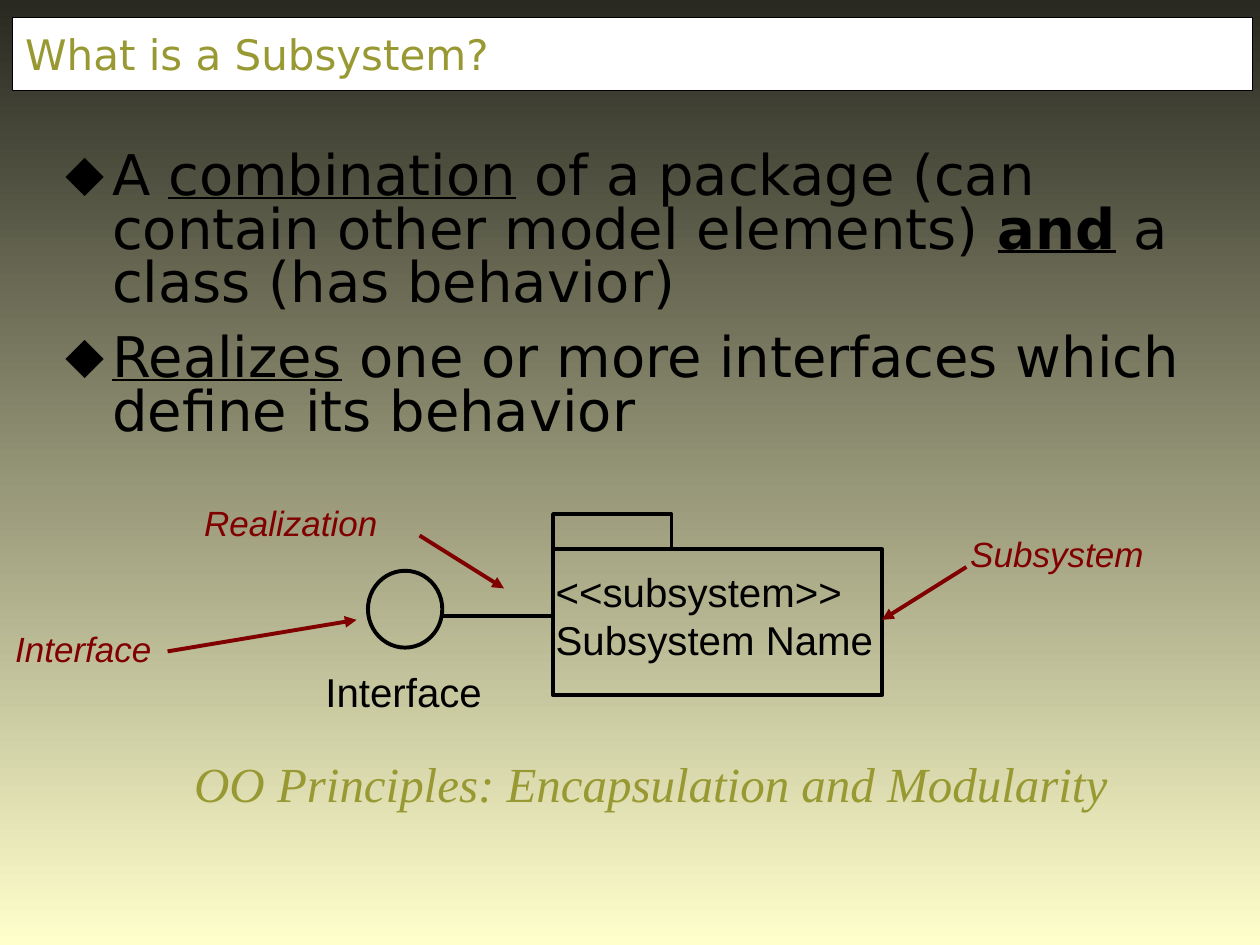
from dataclasses import dataclass
from typing import Any

from lxml.etree import SubElement
from pptx import Presentation
from pptx.dml.color import RGBColor
from pptx.enum.shapes import MSO_CONNECTOR, MSO_SHAPE
from pptx.enum.text import MSO_ANCHOR, MSO_AUTO_SIZE, PP_ALIGN
from pptx.oxml.ns import qn
from pptx.util import Inches, Pt


@dataclass(frozen=True)
class Theme:
    """Colours, fonts and sizes of the slide."""

    ink: RGBColor = RGBColor(0, 0, 0)
    paper: RGBColor = RGBColor(255, 255, 255)
    olive: RGBColor = RGBColor(0x99, 0x99, 0x33)
    maroon: RGBColor = RGBColor(0x80, 0, 0)
    dusk: RGBColor = RGBColor(0x29, 0x29, 0x21)
    cream: RGBColor = RGBColor(0xFF, 0xFF, 0xCC)
    heading_font: str = "DejaVu Sans"
    diagram_font: str = "Arial"
    principle_font: str = "Times New Roman"
    title_size: float = 24
    body_size: float = 32
    diagram_size: float = 23
    callout_size: float = 20
    principle_size: float = 28
    stroke: float = 2.25
    frame_stroke: float = 0.75


THEME = Theme()


@dataclass(frozen=True)
class Style:
    """Character format of a text."""

    name: str
    size: float
    color: RGBColor
    italic: bool = False


TITLE = Style(THEME.heading_font, THEME.title_size, THEME.olive)
BODY = Style(THEME.heading_font, THEME.body_size, THEME.ink)
DIAGRAM = Style(THEME.diagram_font, THEME.diagram_size, THEME.ink)
CALLOUT = Style(THEME.diagram_font, THEME.callout_size, THEME.maroon, True)
PRINCIPLE = Style(THEME.principle_font, THEME.principle_size, THEME.olive, True)


@dataclass(frozen=True)
class Label:
    """A text box on the slide."""

    lines: tuple[str, ...]
    place: tuple[float, float, float, float]
    style: Style
    margins: tuple[float, float] = (0.12, 0.06)
    align: PP_ALIGN = PP_ALIGN.LEFT
    wrap: bool = True


@dataclass(frozen=True)
class Outline:
    """An unfilled shape of the diagram."""

    kind: MSO_SHAPE
    place: tuple[float, float, float, float]


@dataclass(frozen=True)
class Link:
    """A straight line between two points."""

    start: tuple[float, float]
    end: tuple[float, float]
    color: RGBColor = THEME.maroon
    arrow: bool = True


@dataclass(frozen=True)
class Span:
    """A piece of a bullet with its own emphasis."""

    text: str
    underline: bool = False
    bold: bool = False


LABELS = (
    Label(("OO Principles: Encapsulation and Modularity",), (1, 5.92, 8.33, 0.59),
          PRINCIPLE, align=PP_ALIGN.CENTER),
    Label(("<<subsystem>>", "Subsystem Name"), (4.41, 4.5, 2.53, 0.77),
          DIAGRAM, margins=(0, 0), wrap=False),
    Label(("Interface",), (2.08, 5.25, 2.25, 0.49), DIAGRAM,
          margins=(0.1, 0.05), align=PP_ALIGN.CENTER),
    Label(("Interface",), (0, 4.92, 1.42, 0.45), CALLOUT),
    Label(("Realization",), (1.5, 3.92, 1.75, 0.45), CALLOUT),
    Label(("Subsystem",), (7.58, 4.17, 1.75, 0.45), CALLOUT),
)
OUTLINES = (
    Outline(MSO_SHAPE.RECTANGLE, (4.39, 4.36, 2.61, 1.16)),
    Outline(MSO_SHAPE.RECTANGLE, (4.39, 4.08, 0.94, 0.28)),
    Outline(MSO_SHAPE.OVAL, (2.92, 4.53, 0.59, 0.61)),
)
LINKS = (
    Link((3.51, 4.89), (4.39, 4.89), THEME.ink, arrow=False),
    Link((1.33, 5.17), (2.83, 4.92)),
    Link((3.33, 4.25), (4, 4.67)),
    Link((7.67, 4.5), (7, 4.92)),
)
BULLETS = (
    (Span("A "), Span("combination", underline=True),
     Span(" of a package (can contain other model elements) "),
     Span("and", underline=True, bold=True), Span(" a class (has behavior)")),
    (Span("Realizes", underline=True),
     Span(" one or more interfaces which define its behavior")),
)


def apply(target: Any, values: dict[str, Any]) -> None:
    """Set each named attribute on the target."""
    for name, value in values.items():
        setattr(target, name, value)


def place_at(shape: Any, place: tuple[float, float, float, float]) -> None:
    """Move and size a shape."""
    apply(shape, dict(zip(("left", "top", "width", "height"), map(Inches, place))))


def format_frame(frame: Any, margins: tuple[float, float], **values: Any) -> None:
    """Set the margins and further properties of a text frame."""
    across, down = map(Inches, margins)
    apply(frame, {"margin_left": across, "margin_right": across,
                  "margin_top": down, "margin_bottom": down, **values})


def format_font(font: Any, style: Style, **values: Any) -> None:
    """Give a font its style."""
    apply(font, {"name": style.name, "size": Pt(style.size),
                 "italic": style.italic, **values})
    font.color.rgb = style.color


def draw_label(page: Any, label: Label) -> None:
    """Draw a text box with one paragraph for each line."""
    box = page.shapes.add_textbox(*map(Inches, label.place))
    format_frame(box.text_frame, label.margins, word_wrap=label.wrap,
                 auto_size=MSO_AUTO_SIZE.SHAPE_TO_FIT_TEXT)
    box.text_frame.text = "\n".join(label.lines)
    for para in box.text_frame.paragraphs:
        para.alignment = label.align
        format_font(para.runs[0].font, label.style)


def draw_outline(page: Any, outline: Outline) -> None:
    """Draw an unfilled shape."""
    shape = page.shapes.add_shape(outline.kind, *map(Inches, outline.place))
    shape.shadow.inherit = False
    shape.fill.background()
    shape.line.color.rgb = THEME.ink
    shape.line.width = Pt(THEME.stroke)


def draw_link(page: Any, link: Link) -> None:
    """Draw a line, with an arrowhead at its end if wanted."""
    points = map(Inches, link.start + link.end)
    line = page.shapes.add_connector(MSO_CONNECTOR.STRAIGHT, *points)
    line.line.color.rgb = link.color
    line.line.width = Pt(THEME.stroke)
    if link.arrow:
        SubElement(line.line._get_or_add_ln(), qn("a:tailEnd"), type="triangle")
    SubElement(line._element.spPr, qn("a:effectLst"))


def fill_title(title: Any) -> None:
    """Write the framed title."""
    place_at(title, (0.1, 0.14, 9.84, 0.58))
    title.fill.solid()
    title.fill.fore_color.rgb = THEME.paper
    title.line.color.rgb = THEME.ink
    title.line.width = Pt(THEME.frame_stroke)
    format_frame(title.text_frame, (0.1, 0.05), word_wrap=True,
                 auto_size=MSO_AUTO_SIZE.NONE, vertical_anchor=MSO_ANCHOR.MIDDLE)
    title.text_frame.text = "What is a Subsystem?"
    para = title.text_frame.paragraphs[0]
    para.alignment = PP_ALIGN.LEFT
    format_font(para.runs[0].font, TITLE)


def fill_body(body: Any) -> None:
    """Write the bulleted list."""
    place_at(body, (0.4, 1.15, 9.29, 5.52))
    frame = body.text_frame
    format_frame(frame, (0.12, 0.06), word_wrap=True,
                 auto_size=MSO_AUTO_SIZE.NONE, vertical_anchor=MSO_ANCHOR.TOP)
    for index, spans in enumerate(BULLETS):
        para = frame.add_paragraph() if index else frame.paragraphs[0]
        properties = para._p.get_or_add_pPr()
        properties.set("marL", str(Inches(0.37)))
        properties.set("indent", str(Inches(-0.37)))
        color = SubElement(properties, qn("a:buClr"))
        SubElement(color, qn("a:srgbClr"), val=str(THEME.ink))
        SubElement(properties, qn("a:buChar"), char="⬥")
        apply(para, {"line_spacing": 0.8, "space_before": Pt(12 if index else 0)})
        for span in spans:
            run = para.add_run()
            run.text = span.text
            format_font(run.font, BODY, bold=span.bold, underline=span.underline)


def main() -> None:
    """Build and save the slide."""
    deck = Presentation()
    apply(deck, {"slide_width": Inches(10), "slide_height": Inches(7.5)})
    page = deck.slides.add_slide(deck.slide_layouts[1])
    backdrop = page.background.fill
    backdrop.gradient()
    backdrop.gradient_angle = 270
    for stop, color in zip(backdrop.gradient_stops, (THEME.dusk, THEME.cream)):
        stop.color.rgb = color
    fill_title(page.shapes.title)
    fill_body(page.placeholders[1])
    for draw, items in ((draw_outline, OUTLINES), (draw_link, LINKS), (draw_label, LABELS)):
        for item in items:
            draw(page, item)
    deck.save("out.pptx")


if __name__ == "__main__":
    main()
